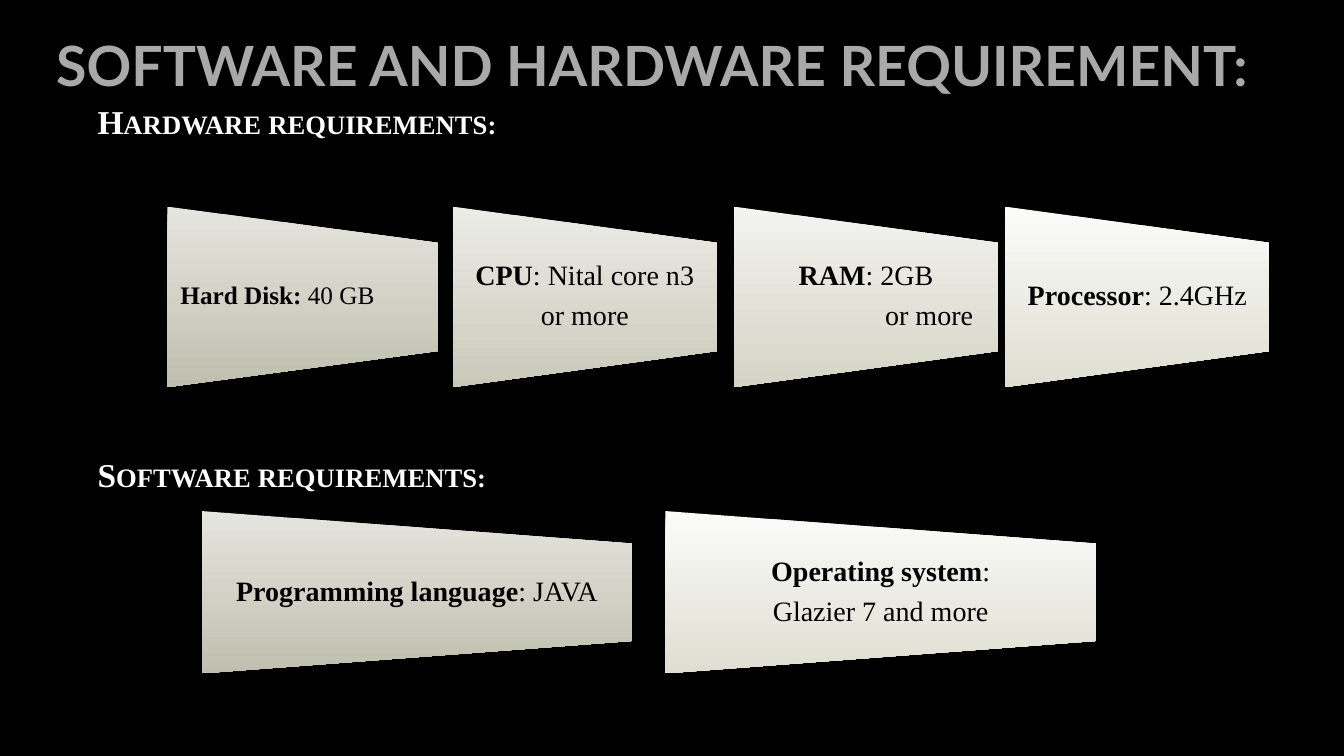
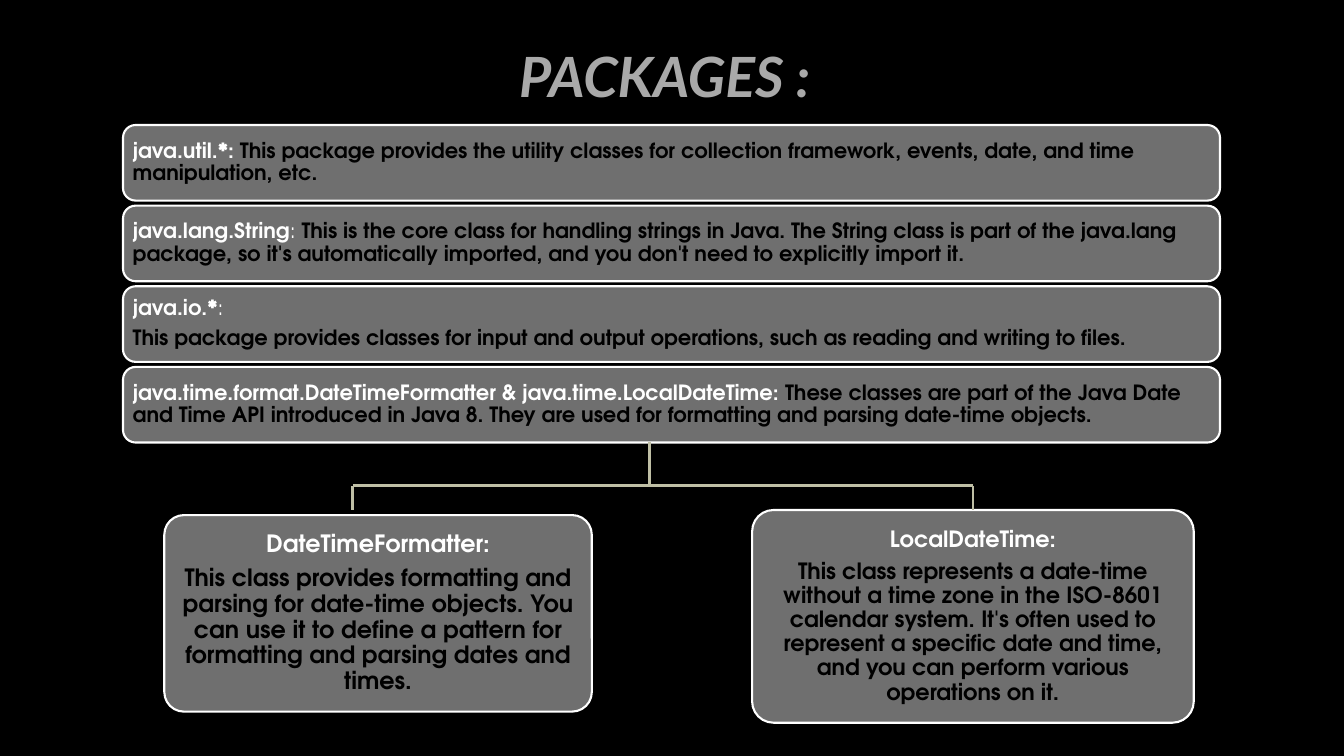
from dataclasses import dataclass
from pptx import Presentation
from pptx.dml.color import RGBColor
from pptx.enum.shapes import MSO_CONNECTOR as Line, MSO_SHAPE as Shape
from pptx.enum.text import MSO_ANCHOR as Anchor, PP_ALIGN as Align
from pptx.oxml.ns import qn
from pptx.util import Inches, Pt


@dataclass(frozen=True)
class Theme:
    background: str = "000000"
    title: str = "A9A9A9"
    light: str = "FFFFFF"
    dark: str = "000000"
    card: str = "6F6F6F"
    tree: str = "BFBFA5"
    title_font: str = "Lato"
    serif: str = "Times New Roman"
    sans: str = "TeX Gyre Adventor"
    title_size: float = 39.6
    heading_size: float = 23.8
    band_size: float = 15
    outline: float = 1.5
    tree_width: float = 2
    shades: tuple = (("E5E5DF", "BFBFAF"), ("ECECE7", "C9C9BA"),
                     ("F3F3F0", "D4D4C6"), ("FBFBF9", "DEDED2"))


THEME = Theme()
WIDTH, HEIGHT = 13.33, 7.5

LABEL = (THEME.dark, True)
PLAIN = (THEME.dark, False)
NAME = (THEME.light, True)
COLON = (THEME.light, False)

TITLES = [
    ("SOFTWARE AND HARDWARE REQUIREMENT:", (0.46, 0.29, 12.14, 0.69), False),
    ("PACKAGES :", (5.05, 0.34, 4, 0.82), True),
]

REQUIREMENTS = [
    {"heading": "Hardware requirements:", "heading_top": 0.95, "top": 2.05, "height": 1.79,
     "cards": [
         {"left": 1.66, "width": 2.68, "size": 18, "shade": 0, "align": Align.LEFT,
          "text": [[("Hard Disk:", LABEL), (" 40 GB", PLAIN)]]},
         {"left": 4.49, "width": 2.62, "shade": 1,
          "text": [[("CPU", LABEL), (": Nital core n3", PLAIN)], [("or more", PLAIN)]]},
         {"left": 7.28, "width": 2.62, "shade": 2, "last_indent": 1.25,
          "text": [[("RAM", LABEL), (": 2GB", PLAIN)], [("or more", PLAIN)]]},
         {"left": 9.97, "width": 2.62, "shade": 3,
          "text": [[("Processor", LABEL), (": 2.4GHz", PLAIN)]]},
     ]},
    {"heading": "Software requirements:", "heading_top": 4.45, "top": 5.07, "height": 1.61,
     "cards": [
         {"left": 2, "width": 4.27, "shade": 0,
          "text": [[("Programming language", LABEL), (": JAVA", PLAIN)]]},
         {"left": 6.6, "width": 4.27, "shade": 3,
          "text": [[("Operating system", LABEL), (":", PLAIN)],
                   [("Glazier 7 and more", PLAIN)]]},
     ]},
]

PACKAGES = [
    [[("java.util.*: ", NAME),
      ("This package provides the utility classes for collection framework, events, date, "
       "and time manipulation, etc.", LABEL)]],
    [[("java.lang.String", NAME), (": ", COLON),
      ("This is the core class for handling strings in Java. The String class is part of the "
       "java.lang package, so it's automatically imported, and you don't need to explicitly "
       "import it.", LABEL)]],
    [[("java.io.*", NAME), (":", COLON)],
     [("This package provides classes for input and output operations, such as reading and "
       "writing to files.", LABEL)]],
    [[("java.time.format.DateTimeFormatter & java.time.LocalDateTime: ", NAME),
      ("These classes are part of the Java Date and Time API introduced in Java 8. They are "
       "used for formatting and parsing date-time objects.", LABEL)]],
]

CLASSES = [
    ((1.63, 5.11, 4.24, 1.95), 17, [
        [("DateTimeFormatter:", NAME)],
        [("This class provides formatting and parsing for date-time objects. You can use it to "
          "define a pattern for formatting and parsing dates and times.", LABEL)]]),
    ((7.46, 5.06, 4.38, 2.11), 16, [
        [("LocalDateTime:", NAME)],
        [("This class represents a date-time without a time zone in the ISO-8601 calendar "
          "system. It's often used to represent a specific date and time, and you can perform "
          "various operations on it.", LABEL)]]),
]

BAND_LEFT, BAND_TOP, BAND_WIDTH, BAND_HEIGHT, BAND_PITCH = 1.22, 1.24, 10.88, 0.75, 0.8
TRUNK_X, FIRST_DROP_X, FORK_Y, DROP_END = 6.44, 3.5, 4.82, 5.06


def color(value):
    return RGBColor.from_string(value)


def inches(values):
    return [Inches(value) for value in values]


def style(run, font, size, shade, bold, italic=False):
    run.font.name, run.font.size = font, Pt(size)
    run.font.bold, run.font.italic = bold, italic
    run.font.color.rgb = color(shade)


def write(holder, paragraphs, font, size, align, insets):
    frame = holder.text_frame
    frame.word_wrap, frame.vertical_anchor = True, Anchor.MIDDLE
    frame.margin_left = frame.margin_right = Inches(insets[0])
    frame.margin_top = frame.margin_bottom = Inches(insets[1])
    for index, parts in enumerate(paragraphs):
        paragraph = frame.add_paragraph() if index else frame.paragraphs[0]
        paragraph.alignment, paragraph.line_spacing = align, 0.9
        paragraph.space_after = Pt(size * 0.35)
        for words, (shade, bold) in parts:
            run = paragraph.add_run()
            run.text = words
            style(run, font, size, shade, bold)
    return frame


def add_line_of_text(slide, words, box, font, size, shade, italic=False):
    frame = slide.shapes.add_textbox(*inches(box)).text_frame
    frame.text = words
    frame.word_wrap, frame.vertical_anchor = True, Anchor.MIDDLE
    run = frame.paragraphs[0].runs[0]
    style(run, font, size, shade, True, italic)
    return run


def add_slide(deck, title):
    slide = deck.slides.add_slide(deck.slide_layouts[6])
    slide.background.fill.solid()
    slide.background.fill.fore_color.rgb = color(THEME.background)
    words, box, italic = title
    add_line_of_text(slide, words, box, THEME.title_font, THEME.title_size, THEME.title, italic)
    return slide


def add_requirement(slide, card, top, height):
    left, width = card["left"], card["width"]
    offset = (width - height) / 2
    wedge = slide.shapes.add_shape(Shape.FLOWCHART_MANUAL_OPERATION,
                                   *inches((left + offset, top - offset, height, width)))
    wedge.rotation = 270
    wedge.shadow.inherit = False
    wedge.line.fill.background()
    wedge.fill.gradient()
    wedge.fill.gradient_angle = 270
    for stop, shade in zip(wedge.fill.gradient_stops, THEME.shades[card["shade"]]):
        stop.color.rgb = color(shade)
    wedge._element.spPr.find(qn("a:gradFill")).set("rotWithShape", "0")
    label = slide.shapes.add_textbox(*inches((left, top + height / 5, width, height * 0.6)))
    frame = write(label, card["text"], THEME.serif, card.get("size", 20),
                  card.get("align", Align.CENTER), (0.13, 0))
    if "last_indent" in card:
        properties = frame.paragraphs[-1]._p.get_or_add_pPr()
        properties.set("marL", str(Inches(card["last_indent"])))


def add_card(slide, box, text, size, align, inset, corner=None):
    card = slide.shapes.add_shape(Shape.ROUNDED_RECTANGLE, *inches(box))
    if corner:
        card.adjustments[0] = corner
    card.shadow.inherit = False
    card.fill.solid()
    card.fill.fore_color.rgb = color(THEME.card)
    card.line.color.rgb = color(THEME.light)
    card.line.width = Pt(THEME.outline)
    write(card, text, THEME.sans, size, align, (inset, inset))
    return card


def add_branch(slide, start, end):
    branch = slide.shapes.add_connector(Line.STRAIGHT, *inches(start + end))
    branch.line.color.rgb = color(THEME.tree)
    branch.line.width = Pt(THEME.tree_width)
    properties = branch._element.spPr
    properties.append(properties.makeelement(qn("a:effectLst"), {}))
    return branch


def build_requirements(deck):
    slide = add_slide(deck, TITLES[0])
    for group in REQUIREMENTS:
        heading = add_line_of_text(slide, group["heading"], (0.87, group["heading_top"], 11.38, 0.5),
                                   THEME.serif, THEME.heading_size, THEME.light)
        heading._r.get_or_add_rPr().set("cap", "small")
        for card in group["cards"]:
            add_requirement(slide, card, group["top"], group["height"])


def build_packages(deck):
    slide = add_slide(deck, TITLES[1])
    for row, text in enumerate(PACKAGES):
        box = (BAND_LEFT, BAND_TOP + row * BAND_PITCH, BAND_WIDTH, BAND_HEIGHT)
        add_card(slide, box, text, THEME.band_size, Align.LEFT, 0.06)
    class_cards = [add_card(slide, box, text, size, Align.CENTER, 0.07, 0.1)
                   for box, size, text in CLASSES]
    left, _, width, _ = CLASSES[1][0]
    last_drop_x = left + width / 2
    trunk_top = BAND_TOP + (len(PACKAGES) - 1) * BAND_PITCH + BAND_HEIGHT
    add_branch(slide, (TRUNK_X, trunk_top), (TRUNK_X, FORK_Y))
    add_branch(slide, (FIRST_DROP_X, FORK_Y), (last_drop_x, FORK_Y))
    add_branch(slide, (FIRST_DROP_X, FORK_Y), (FIRST_DROP_X, DROP_END))
    last_drop = add_branch(slide, (last_drop_x, FORK_Y), (last_drop_x, DROP_END))
    last_drop.end_connect(class_cards[1], 0)


def main():
    deck = Presentation()
    deck.slide_width, deck.slide_height = inches((WIDTH, HEIGHT))
    build_requirements(deck)
    build_packages(deck)
    deck.save("out.pptx")


if __name__ == "__main__":
    main()
